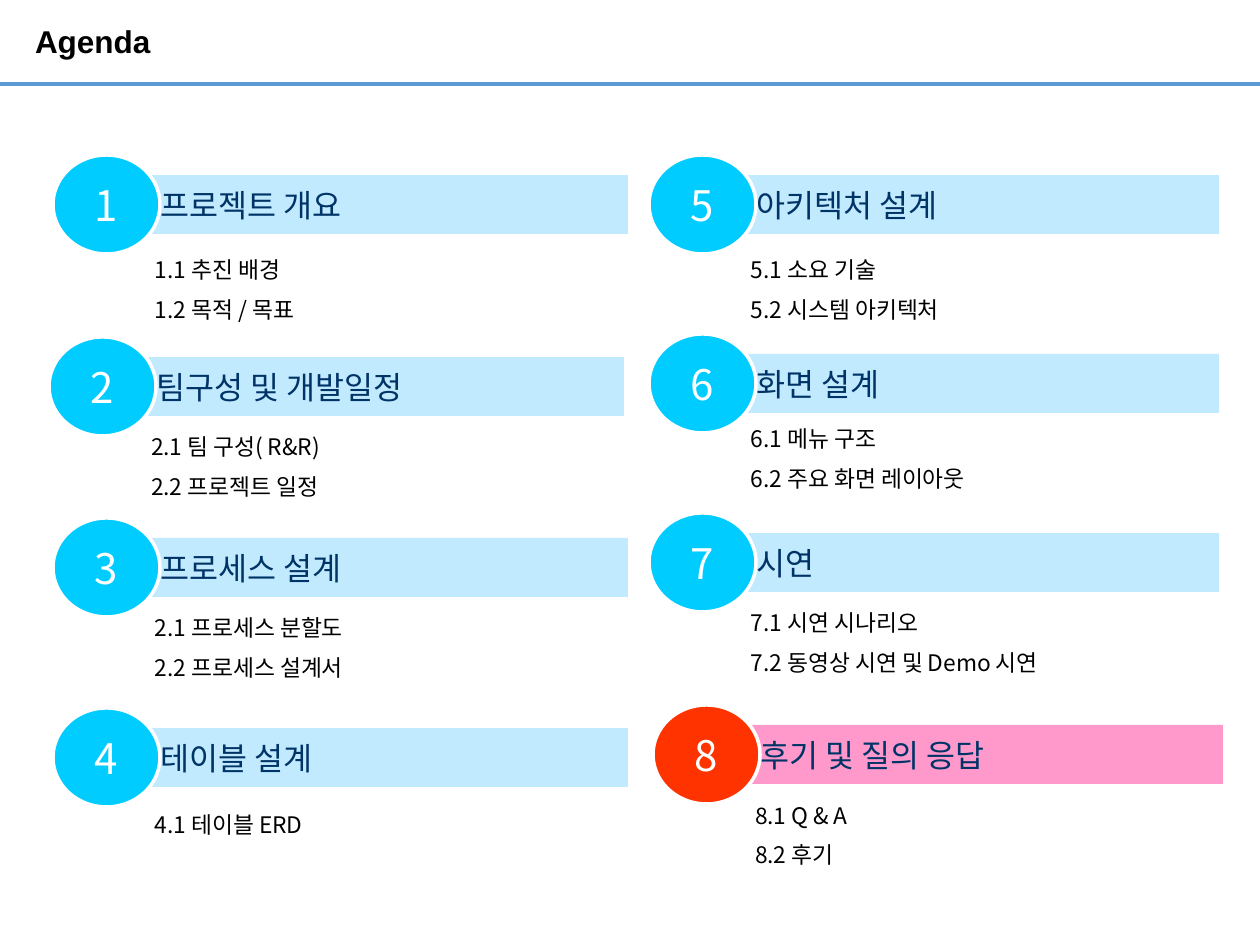
from lxml.etree import SubElement
from pptx import Presentation
from pptx.dml.color import RGBColor as Rgb
from pptx.enum.shapes import MSO_CONNECTOR as Link, MSO_SHAPE as Kind
from pptx.enum.text import MSO_ANCHOR as Anchor, PP_ALIGN as Align
from pptx.oxml.ns import qn
from pptx.util import Emu, Pt

AGENDA = [
    (96, 175, 244, "1", "프로젝트 개요", ["1.1 추진 배경", "1.2 목적 / 목표"]),
    (92, 357, 421, "2", "팀구성 및 개발일정", ["2.1 팀 구성( R&R)", "2.2 프로젝트 일정"]),
    (96, 538, 602, "3", "프로세스 설계", ["2.1 프로세스 분할도", "2.2 프로세스 설계서"]),
    (96, 728, 799, "4", "테이블 설계", ["4.1 테이블 ERD"]),
    (692, 175, 244, "5", "아키텍처 설계", ["5.1 소요 기술", "5.2 시스템 아키텍처"]),
    (692, 354, 413, "6", "화면 설계", ["6.1 메뉴 구조", "6.2 주요 화면 레이아웃"]),
    (692, 533, 597, "7", "시연", ["7.1 시연 시나리오", "7.2 동영상 시연 및 Demo 시연"]),
    (696, 725, 790, "8", "후기 및 질의 응답", ["8.1 Q & A", "8.2 후기"]),
]
LAST = "8"
KOREAN = "Noto Sans CJK KR"
BLACK, WHITE = Rgb(0, 0, 0), Rgb(255, 255, 255)
NAVY, RULE = Rgb(0, 0x33, 0x66), Rgb(0x5B, 0x9B, 0xD5)
CYAN, PALE = Rgb(0, 0xCC, 0xFF), Rgb(0xC1, 0xEA, 0xFF)
RED, PINK = Rgb(0xFF, 0x33, 0), Rgb(0xFF, 0x99, 0xCC)


def px(n):
    return Emu(round(n * 914400 / 126))


def style(para, size, color, align=Align.LEFT, name=KOREAN):
    para.alignment = align
    font = para.font
    font.size, font.name, font.color.rgb = Pt(size), name, color
    for run in para.runs:
        SubElement(run.font._element, qn("a:ea")).set("typeface", name)


def margins(frame, left, top, right, bottom):
    frame.margin_left, frame.margin_top = px(left), px(top)
    frame.margin_right, frame.margin_bottom = px(right), px(bottom)


def block(kind, box, fill, text, size, color, align, inset=0):
    shape = slide.shapes.add_shape(kind, *map(px, box))
    shape.shadow.inherit = False
    shape.fill.solid()
    shape.fill.fore_color.rgb = fill
    shape.line.fill.background()
    frame = shape.text_frame
    frame.text = text
    frame.word_wrap = False
    frame.vertical_anchor = Anchor.MIDDLE
    margins(frame, inset, 0, 0, 0)
    style(frame.paragraphs[0], size, color, align)
    return shape


def notes(box, lines):
    frame = slide.shapes.add_textbox(*map(px, box)).text_frame
    frame.word_wrap = True
    margins(frame, 2, 6, 2, 6)
    frame.text = "\n".join(lines)
    for para in frame.paragraphs:
        para.line_spacing = 1.2
        para.space_before = Pt(4)
        style(para, 13, BLACK, Align.JUSTIFY)


deck = Presentation()
deck.slide_width, deck.slide_height = px(1260), px(945)
slide = deck.slides.add_slide(deck.slide_layouts[5])

rule = slide.shapes.add_connector(Link.STRAIGHT, 0, px(84), px(1260), px(84))
rule.line.color.rgb, rule.line.width = RULE, Pt(2.25)
SubElement(rule._element.spPr, qn("a:effectLst"))

title = slide.shapes.title
title.left, title.top, title.width, title.height = map(px, (35, 0, 824, 86))
head = title.text_frame
head.text = "Agenda"
head.vertical_anchor = Anchor.MIDDLE
margins(head, 0, 0, 0, 0)
para = head.paragraphs[0]
para.line_spacing = 0.9
para.font.bold = True
style(para, 18, BLACK, name="Arial")

for x, y, low, num, topic, lines in AGENDA:
    dark, light = (RED, PINK) if num == LAST else (CYAN, PALE)
    wide = 532 if x < 630 else 527
    block(Kind.RECTANGLE, (x, y, wide, 59), light, topic, 18, NAVY, Align.LEFT, 65)
    disc = block(Kind.OVAL, (x - 43, y - 20, 107, 99), dark, num, 24, WHITE, Align.CENTER)
    disc.line.color.rgb, disc.line.width = WHITE, Pt(2)
    notes((x + 57, low, 470, 46 * len(lines)), lines)

deck.save("out.pptx")
